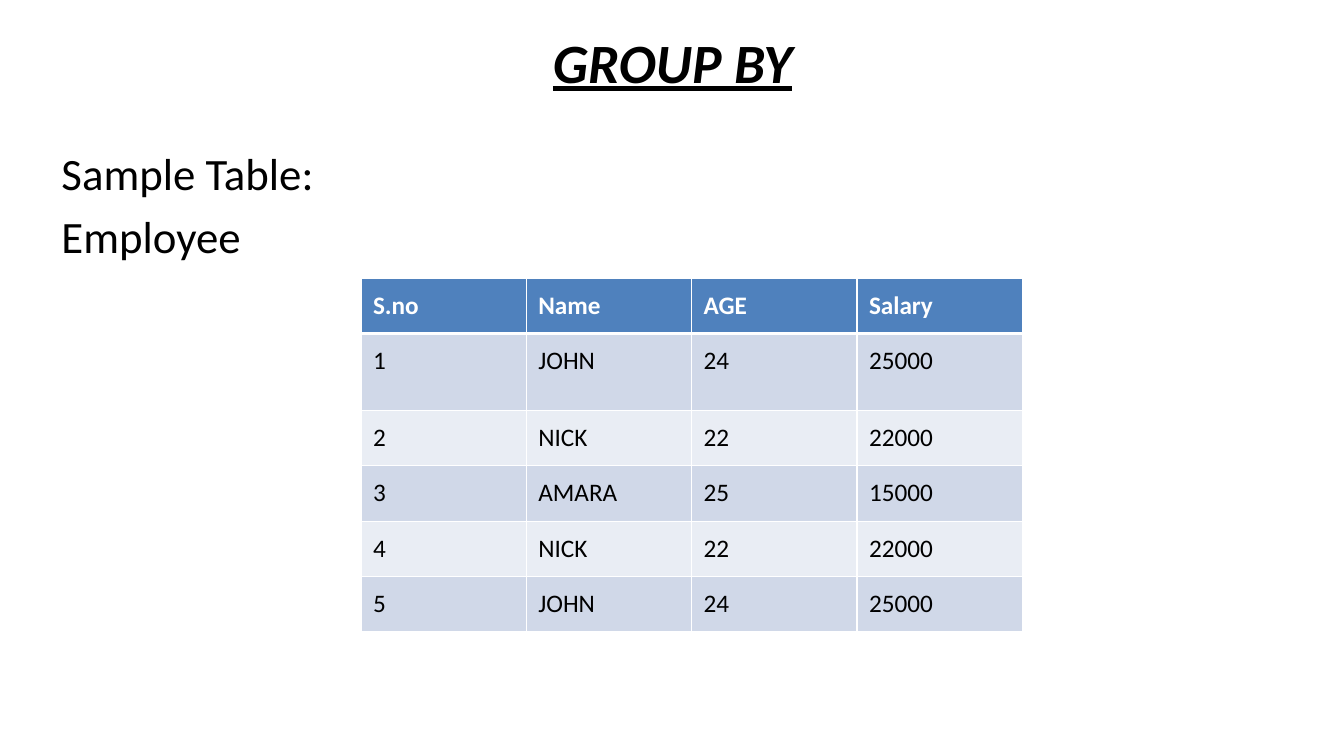
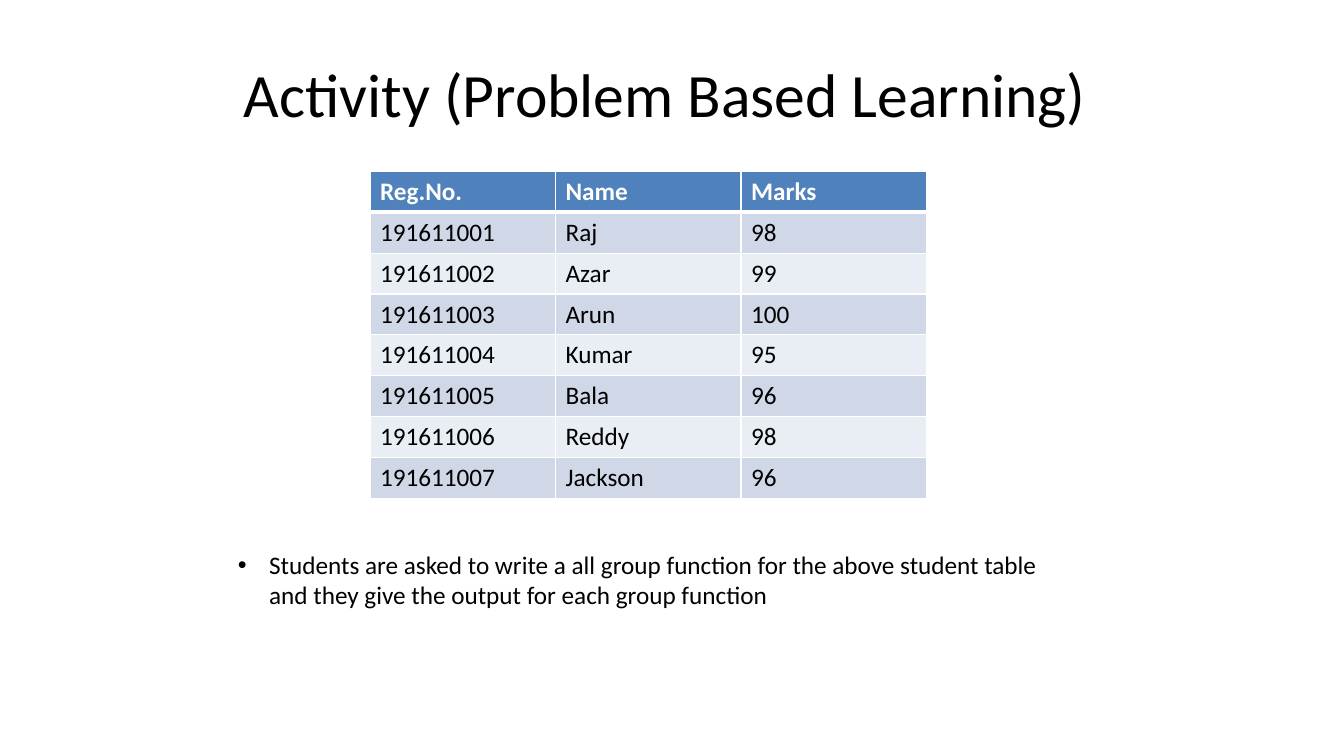
"""Build two slides that introduce GROUP BY and set a grouping activity."""

from dataclasses import dataclass

from lxml.etree import SubElement
from pptx import Presentation
from pptx.dml.color import RGBColor
from pptx.enum.text import MSO_ANCHOR, MSO_AUTO_SIZE, PP_ALIGN
from pptx.oxml.ns import qn
from pptx.slide import Slide
from pptx.table import _Cell
from pptx.text.text import TextFrame, _Paragraph
from pptx.util import Inches, Pt


@dataclass(frozen=True)
class Theme:
    font: str = "Calibri"
    text: RGBColor = RGBColor(0x00, 0x00, 0x00)
    light: RGBColor = RGBColor(0xFF, 0xFF, 0xFF)
    header: RGBColor = RGBColor(0x4F, 0x81, 0xBD)
    bands: tuple[RGBColor, RGBColor] = (RGBColor(0xD0, 0xD8, 0xE8), RGBColor(0xE9, 0xED, 0xF4))
    title_size: float = 44
    emphasis_size: float = 39.6
    body_size: float = 32
    small_size: float = 18
    rule: float = 1
    header_rule: float = 3


@dataclass(frozen=True)
class Box:
    left: float
    top: float
    width: float
    height: float


@dataclass(frozen=True)
class Title:
    text: str
    height: float
    emphasis: bool = False


@dataclass(frozen=True)
class Body:
    lines: tuple[str, ...]
    box: Box
    size: float
    indent: float
    space_before: float = 0
    bullet: str = ""
    alignment: PP_ALIGN = PP_ALIGN.LEFT


@dataclass(frozen=True)
class Grid:
    rows: tuple[tuple[str, ...], ...]
    left: float
    top: float
    column_width: float
    row_heights: tuple[float, ...]
    side_margin: float = 0.1
    end_margin: float = 0.05


@dataclass(frozen=True)
class Page:
    title: Title
    body: Body
    grid: Grid


THEME = Theme()

PAGES = (
    Page(
        Title("GROUP BY", 0.61, emphasis=True),
        Body(("Sample Table:", "Employee"), Box(0.51, 1.4, 12, 5.63), THEME.body_size,
             indent=0.38, space_before=6.4, alignment=PP_ALIGN.JUSTIFY),
        Grid(
            (
                ("S.no", "Name", "AGE", "Salary"),
                ("1", "JOHN", "24", "25000"),
                ("2", "NICK", "22", "22000"),
                ("3", "AMARA", "25", "15000"),
                ("4", "NICK", "22", "22000"),
                ("5", "JOHN", "24", "25000"),
            ),
            3.58, 2.76, 1.64, (0.55, 0.76) + (0.55,) * 4, side_margin=0.12, end_margin=0.12,
        ),
    ),
    Page(
        Title("Activity\u00a0(Problem Based Learning)\u00a0", 1.25),
        Body(
            ("Students are asked to write a all group function for the above student table "
             "and they give the output for each group function ",),
            Box(2.26, 5.4, 8.19, 0.71), THEME.small_size, indent=0.31, bullet="•",
        ),
        Grid(
            (
                ("Reg.No.", "Name ", "Marks"),
                ("191611001", "Raj", "98"),
                ("191611002", "Azar", "99"),
                ("191611003", "Arun", "100"),
                ("191611004", "Kumar", "95"),
                ("191611005", "Bala", "96"),
                ("191611006", "Reddy", "98"),
                ("191611007", "Jackson", "96"),
            ),
            3.67, 1.7, 1.84, (0.405,) * 8,
        ),
    ),
)


def style_paragraph(paragraph: _Paragraph, size: float, color: RGBColor = THEME.text,
                    bold: bool = False) -> None:
    paragraph.font.name = THEME.font
    paragraph.font.size = Pt(size)
    paragraph.font.color.rgb = color
    paragraph.font.bold = bold


def place_placeholder(slide: Slide, index: int, box: Box) -> TextFrame:
    shape = slide.placeholders[index]
    shape.left, shape.top = Inches(box.left), Inches(box.top)
    shape.width, shape.height = Inches(box.width), Inches(box.height)
    shape.text_frame.auto_size = MSO_AUTO_SIZE.NONE
    shape.text_frame.word_wrap = True
    return shape.text_frame


def fill_title(slide: Slide, title: Title) -> None:
    frame = place_placeholder(slide, 0, Box(0.67, 0.3, 12, title.height))
    frame.vertical_anchor = MSO_ANCHOR.MIDDLE
    frame.text = title.text
    paragraph = frame.paragraphs[0]
    paragraph.alignment = PP_ALIGN.CENTER
    size = THEME.emphasis_size if title.emphasis else THEME.title_size
    style_paragraph(paragraph, size, bold=title.emphasis)
    paragraph.font.italic = title.emphasis
    paragraph.font.underline = title.emphasis


def set_bullet(paragraph: _Paragraph, bullet: str, indent: float) -> None:
    properties = paragraph._p.get_or_add_pPr()
    properties.set("marL", str(Inches(indent)))
    properties.set("indent", str(-Inches(indent)))
    if bullet:
        SubElement(properties, qn("a:buFont"), typeface="Arial")
        SubElement(properties, qn("a:buChar"), char=bullet)
    else:
        SubElement(properties, qn("a:buNone"))


def fill_body(slide: Slide, body: Body) -> None:
    frame = place_placeholder(slide, 1, body.box)
    frame.text = "\n".join(body.lines)
    for paragraph in frame.paragraphs:
        paragraph.alignment = body.alignment
        paragraph.space_before = Pt(body.space_before)
        set_bullet(paragraph, body.bullet, body.indent)
        style_paragraph(paragraph, body.size)


def set_borders(cell: _Cell, top: float, bottom: float) -> None:
    properties = cell._tc.get_or_add_tcPr()
    widths = {"a:lnL": THEME.rule, "a:lnR": THEME.rule, "a:lnT": top, "a:lnB": bottom}
    for tag, width in widths.items():
        line = SubElement(properties, qn(tag), w=str(Pt(width)))
        SubElement(SubElement(line, qn("a:solidFill")), qn("a:srgbClr"), val=str(THEME.light))


def fill_cell(cell: _Cell, text: str, row: int, grid: Grid) -> None:
    is_header = row == 0
    cell.text = text
    cell.margin_left = cell.margin_right = Inches(grid.side_margin)
    cell.margin_top = cell.margin_bottom = Inches(grid.end_margin)
    set_borders(cell, THEME.header_rule if row == 1 else THEME.rule,
                THEME.header_rule if is_header else THEME.rule)
    cell.fill.solid()
    cell.fill.fore_color.rgb = THEME.header if is_header else THEME.bands[(row - 1) % 2]
    style_paragraph(cell.text_frame.paragraphs[0], THEME.small_size,
                    THEME.light if is_header else THEME.text, bold=is_header)


def draw_grid(slide: Slide, grid: Grid) -> None:
    column_count = len(grid.rows[0])
    table = slide.shapes.add_table(
        len(grid.rows), column_count, Inches(grid.left), Inches(grid.top),
        Inches(grid.column_width * column_count), Inches(sum(grid.row_heights)),
    ).table
    for column in table.columns:
        column.width = Inches(grid.column_width)
    for row, (texts, height) in enumerate(zip(grid.rows, grid.row_heights)):
        table.rows[row].height = Inches(height)
        for column, text in enumerate(texts):
            fill_cell(table.cell(row, column), text, row, grid)


def main() -> None:
    presentation = Presentation()
    presentation.slide_width = Inches(13.33)
    presentation.slide_height = Inches(7.5)
    for page in PAGES:
        slide = presentation.slides.add_slide(presentation.slide_layouts[1])
        fill_title(slide, page.title)
        fill_body(slide, page.body)
        draw_grid(slide, page.grid)
    presentation.save("out.pptx")


main()
